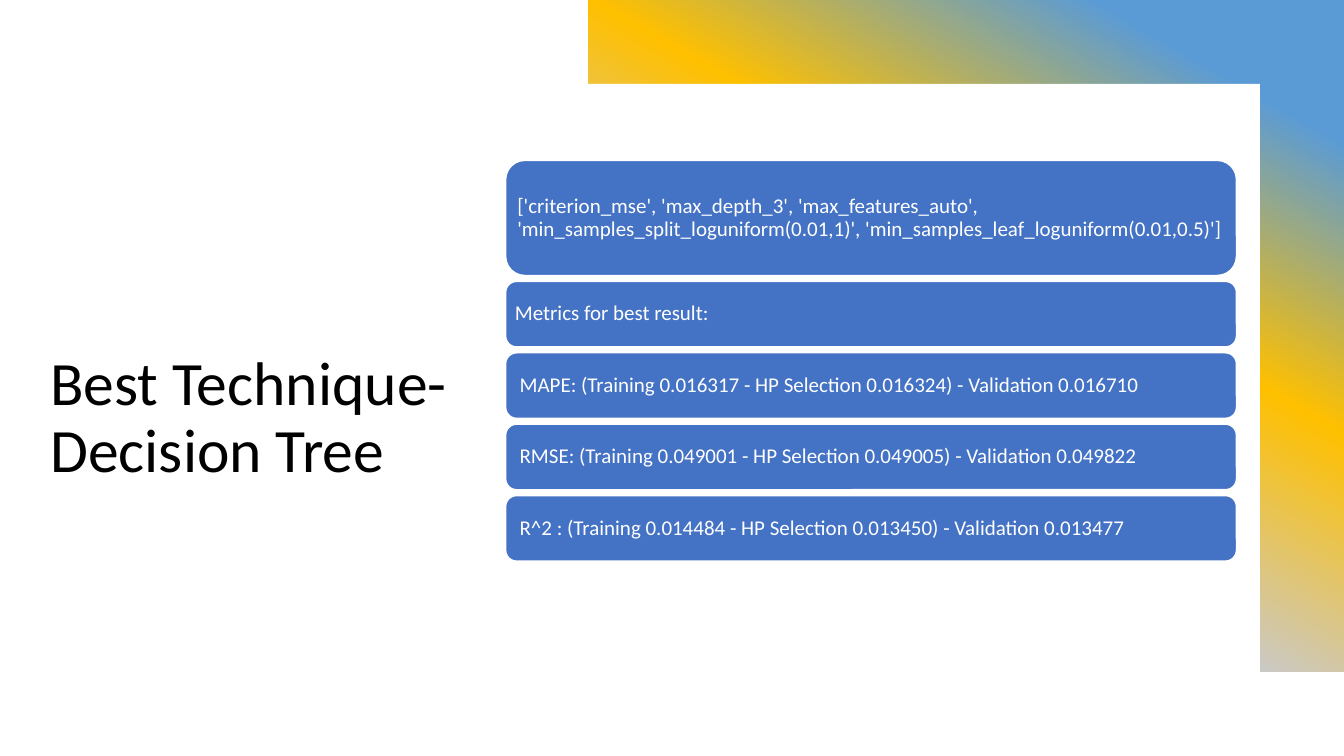
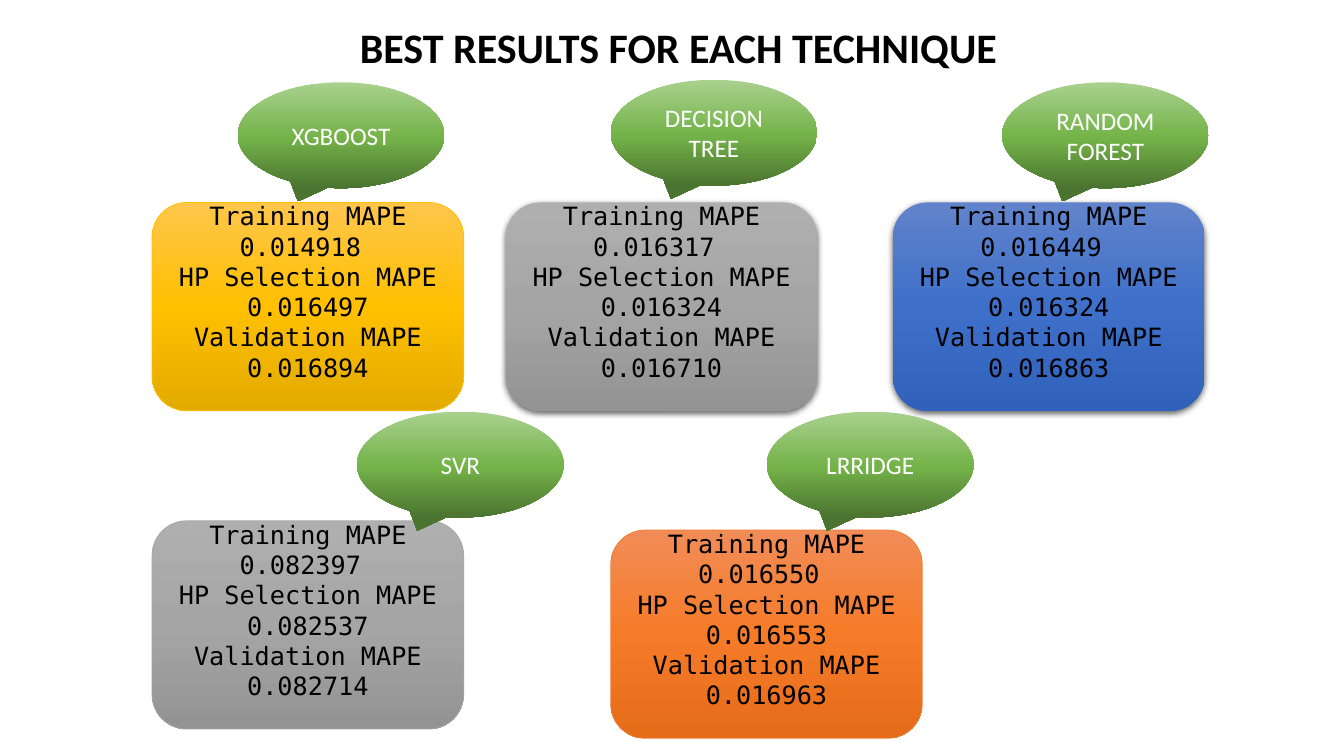
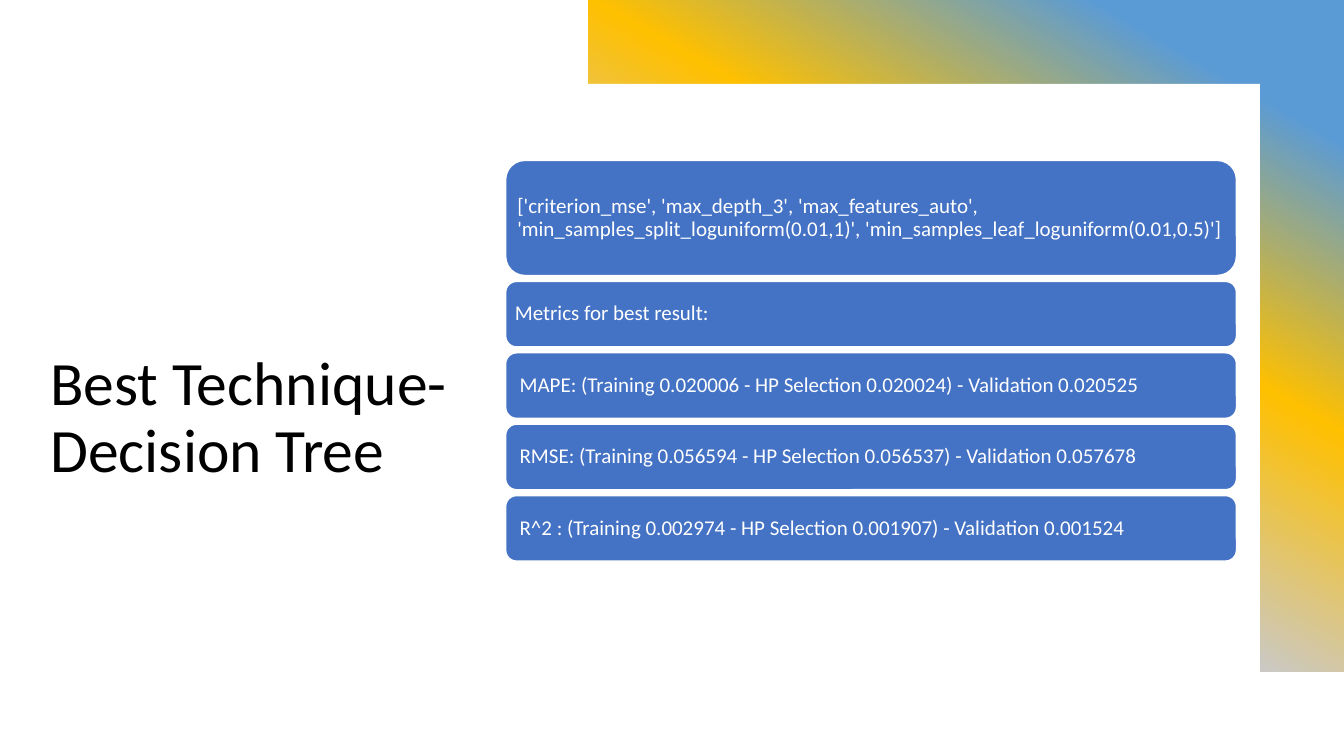
"""Build three slides that compare regression techniques by their error metrics."""
import pptx
import pptx.dml.color
import pptx.enum.shapes
import pptx.enum.text
import pptx.oxml.ns
import pptx.util
import lxml.etree

KIND = pptx.enum.shapes.MSO_SHAPE
ALIGN = pptx.enum.text.PP_ALIGN
ANCHOR = pptx.enum.text.MSO_ANCHOR
FIT = pptx.enum.text.MSO_AUTO_SIZE
RGB = pptx.dml.color.RGBColor.from_string
qn = pptx.oxml.ns.qn

THEME = {
    "white": "FFFFFF",
    "black": "000000",
    "blue": "4472C4",
    "yellow": "FFC000",
    "gray": "A5A5A5",
    "orange": "ED7D31",
    "sans": "Calibri",
    "mono": "DejaVu Sans Mono",
    "headline": pptx.util.Pt(44),
    "heading": pptx.util.Pt(30),
    "label": pptx.util.Pt(18),
    "detail": pptx.util.Pt(15),
    "frame_stops": [(10, "5B9BD5"), (30, "FFC000"), (50, "C9C9C9"), (70, "ED7D31"), (90, "4472C4")],
    "yellow_stops": [(0, "FFC64B"), (50, "FFC000"), (100, "E3AB00")],
    "gray_stops": [(0, "AFAFAF"), (50, "A5A5A5"), (100, "939393")],
    "blue_stops": [(0, "6183CB"), (50, "3E70CA"), (100, "3062BB")],
    "orange_stops": [(0, "F18C57"), (50, "F67B28"), (100, "E56C19")],
    "green_stops": [(0, "A9D18E"), (52, "74B349"), (100, "4B7430")],
}

deck = pptx.Presentation()
deck.slide_width, deck.slide_height = pptx.util.Emu(12192000), pptx.util.Emu(6858000)
CELL = deck.slide_width // 16
COLUMNS, ROWS = 16, 9


def draw(page, kind, cells, stops, angle=90, outline=None, weight=1):
    """Add a preset shape on grid cells, filled with one colour or a gradient."""
    shape = page.shapes.add_shape(kind, *[round(cell * CELL) for cell in cells])
    shape.shadow.inherit = False
    if isinstance(stops, str):
        shape.fill.solid()
        shape.fill.fore_color.rgb = RGB(stops)
    else:
        shape.fill.gradient()
        shape.fill.gradient_angle = 360 - angle
        stop_list = shape._element.spPr.find(".//" + qn("a:gsLst"))
        stop_list.clear()
        for position, colour in stops:
            stop = lxml.etree.SubElement(stop_list, qn("a:gs"), pos=str(position * 1000))
            lxml.etree.SubElement(stop, qn("a:srgbClr"), val=colour)
    if outline:
        shape.line.color.rgb = RGB(outline)
        shape.line.width = pptx.util.Pt(weight)
    else:
        shape.line.fill.background()
    return shape


def write(box, lines, colour, frame_format, para_format, font_format):
    """Fill a shape with one paragraph per line and apply the format values."""
    frame = box.text_frame
    for name, value in {"word_wrap": True, "auto_size": FIT.NONE, **frame_format}.items():
        setattr(frame, name, value)
    for index, line in enumerate(lines):
        para = frame.add_paragraph() if index else frame.paragraphs[0]
        span = para.add_run()
        span.text = line
        span.font.color.rgb = RGB(colour)
        for target, values in ((para, para_format), (span.font, font_format)):
            for name, value in values.items():
                setattr(target, name, value)


technique_title = (
    "Best Technique- Decision Tree", (0.48, 2.17, 6.01, 3.67),
    {"vertical_anchor": ANCHOR.BOTTOM},
    {"alignment": ALIGN.LEFT, "line_spacing": 0.9},
    {"name": THEME["sans"], "size": THEME["headline"]},
)
results_title = (
    "BEST RESULTS FOR EACH TECHNIQUE", (1.81, 0.2, 12.54, 0.73),
    {"vertical_anchor": ANCHOR.TOP},
    {"alignment": ALIGN.CENTER},
    {"name": THEME["sans"], "size": THEME["heading"], "bold": True},
)
pages = []
for text, cells, *formats in (technique_title, results_title, technique_title):
    page = deck.slides.add_slide(deck.slide_layouts[5])
    for name, cell in zip(("left", "top", "width", "height"), cells):
        setattr(page.shapes.title, name, round(cell * CELL))
    write(page.shapes.title, [text], THEME["black"], *formats)
    pages.append(page)
first_page, results_page, last_page = pages

settings = (
    "['criterion_mse', 'max_depth_3', 'max_features_auto', "
    "'min_samples_split_loguniform(0.01,1)', 'min_samples_leaf_loguniform(0.01,0.5)']"
)
metrics = [
    (first_page, [
        ("MAPE:", "0.016317", "0.016324", "0.016710"),
        ("RMSE:", "0.049001", "0.049005", "0.049822"),
        ("R^2 :", "0.014484", "0.013450", "0.013477"),
    ]),
    (last_page, [
        ("MAPE:", "0.020006", "0.020024", "0.020525"),
        ("RMSE:", "0.056594", "0.056537", "0.057678"),
        ("R^2 :", "0.002974", "0.001907", "0.001524"),
    ]),
]
margins = ("margin_left", "margin_top", "margin_right", "margin_bottom")
bar_frame = {"vertical_anchor": ANCHOR.MIDDLE, **dict.fromkeys(margins, pptx.util.Inches(0.06))}
bar_gap = 0.07

for page, scores in metrics:
    draw(page, KIND.RECTANGLE, (0, 0, COLUMNS, ROWS - 1), THEME["frame_stops"], 120)
    outline = page.shapes.build_freeform(0, 0, scale=CELL)
    outline.add_line_segments([(7, 0), (7, 1), (15, 1), (15, 8.1), (0, 8.1)])
    panel = outline.convert_to_shape()
    panel.shadow.inherit = False
    panel.fill.solid()
    panel.fill.fore_color.rgb = RGB(THEME["white"])
    panel.line.fill.background()
    page.shapes._spTree.append(page.shapes.title._element)

    bars = [(settings, 1.37), ("Metrics for best result:", 0.78)]
    for metric, training, selection, validation in scores:
        bars.append((f" {metric} (Training {training} - HP Selection {selection})"
                     f" - Validation {validation}", 0.78))
    top = 1.91
    for text, height in bars:
        bar = draw(page, KIND.ROUNDED_RECTANGLE, (6.02, top, 8.7, height),
                   THEME["blue"], outline=THEME["white"])
        write(bar, [text], THEME["white"], bar_frame,
              {"alignment": ALIGN.LEFT, "line_spacing": 0.9},
              {"name": THEME["sans"], "size": THEME["detail"]})
        top += height + bar_gap

techniques = [
    ("XGBOOST", "yellow", False, (1.81, 2.41), (2.83, 0.98), "0.014918", "0.016497", "0.016894"),
    ("DECISION TREE", "gray", True, (6.02, 2.41), (7.27, 0.95), "0.016317", "0.016324", "0.016710"),
    ("RANDOM FOREST", "blue", True, (10.63, 2.41), (11.93, 0.98), "0.016449", "0.016324", "0.016863"),
    ("SVR", "gray", False, (1.81, 6.2), (4.25, 4.9), "0.082397", "0.082537", "0.082714"),
    ("LRRIDGE", "orange", False, (7.27, 6.31), (9.13, 4.9), "0.016550", "0.016553", "0.016963"),
]
card_size, callout_size = (3.71, 2.48), (2.46, 1.26)
card_frame = {"vertical_anchor": ANCHOR.MIDDLE, "margin_top": 0, "margin_bottom": pptx.util.Inches(0.3)}

for name, colour, raised, card_at, callout_at, training, selection, validation in techniques:
    card = draw(results_page, KIND.ROUNDED_RECTANGLE, card_at + card_size, THEME[colour + "_stops"],
                outline=None if raised else THEME[colour], weight=0.5)
    if raised:
        effects = card._element.spPr.find(qn("a:effectLst"))
        shadow = lxml.etree.SubElement(effects, qn("a:outerShdw"), blurRad="57150", dist="19050",
                                       dir="5400000", algn="ctr", rotWithShape="0")
        tint = lxml.etree.SubElement(shadow, qn("a:srgbClr"), val=THEME["black"])
        lxml.etree.SubElement(tint, qn("a:alpha"), val="63000")
    lines = [f"Training MAPE {training} ", "HP Selection MAPE", selection, f"Validation MAPE {validation}"]
    write(card, lines, THEME["black"], card_frame, {"alignment": ALIGN.CENTER},
          {"name": THEME["mono"], "size": THEME["label"]})
    callout = draw(results_page, KIND.OVAL_CALLOUT, callout_at + callout_size, THEME["green_stops"])
    write(callout, [name], THEME["white"], {"vertical_anchor": ANCHOR.MIDDLE},
          {"alignment": ALIGN.CENTER}, {"name": THEME["sans"], "size": THEME["label"]})

deck.save("out.pptx")
